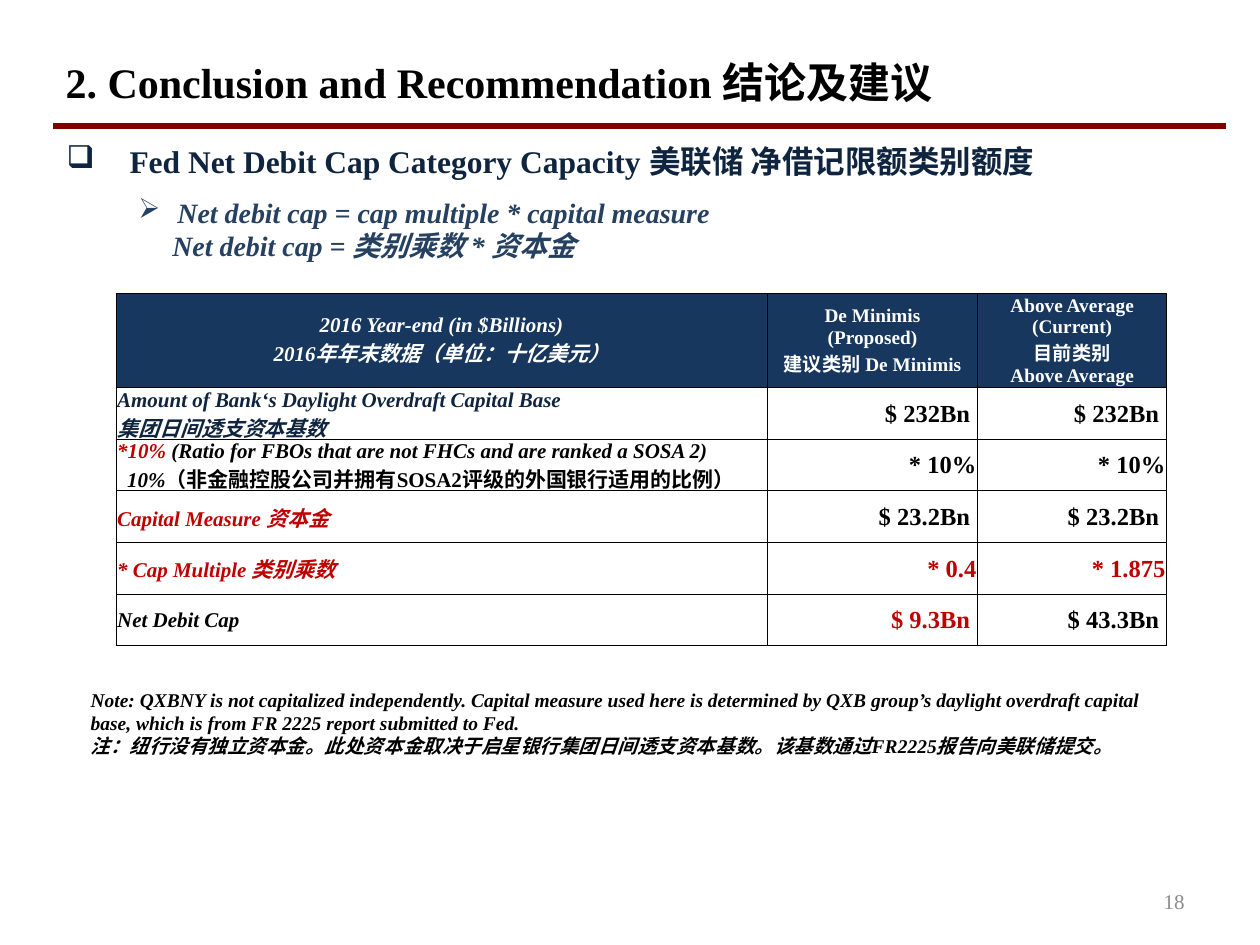
from pptx import Presentation
from pptx.dml.color import RGBColor
from pptx.enum.shapes import MSO_CONNECTOR
from pptx.enum.text import MSO_ANCHOR, MSO_AUTO_SIZE, PP_ALIGN
from pptx.oxml import parse_xml
from pptx.oxml.ns import nsdecls, qn
from pptx.util import Inches, Pt
from lxml.etree import SubElement

FONT = "Times New Roman"
BLACK, WHITE, RED = "000000", "FFFFFF", "C00000"
NAVY, BLUE, HEADER_FILL = "0F243E", "254061", "17375E"


def rgb(value):
    return RGBColor.from_string(value)


def style_run(run, size, color=BLACK, bold=True, italic=False):
    font = run.font
    font.name, font.size, font.bold, font.italic = FONT, Pt(size), bold, italic
    font.color.rgb = rgb(color)


def write_lines(frame, lines, size, color=BLACK, bold=True, italic=False,
                align=PP_ALIGN.LEFT):
    """Write one paragraph for each line in a common style."""
    frame.text = "\n".join(lines)
    for paragraph in frame.paragraphs:
        paragraph.alignment = align
        for run in paragraph.runs:
            style_run(run, size, color, bold, italic)


def set_indent(paragraph, left, hanging=0, bullet=None):
    properties = paragraph._p.get_or_add_pPr()
    properties.set("marL", str(Inches(left)))
    properties.set("indent", str(Inches(-hanging)))
    if bullet:
        SubElement(properties, qn("a:buChar")).set("char", bullet)


def add_text(slide, box, lines, size, anchor=MSO_ANCHOR.TOP, **style):
    frame = slide.shapes.add_textbox(*map(Inches, box)).text_frame
    frame.word_wrap = True
    frame.vertical_anchor = anchor
    write_lines(frame, lines, size, **style)
    return frame


def add_heading(slide, left, top, width):
    # Title
    title = slide.shapes.title
    title.left, title.top = Inches(left), Inches(top)
    title.width, title.height = Inches(width), Inches(0.53)
    frame = title.text_frame
    frame.auto_size = MSO_AUTO_SIZE.NONE
    frame.vertical_anchor = MSO_ANCHOR.MIDDLE
    write_lines(frame, ["2. Conclusion and Recommendation 结论及建议"], 24)

    # Rule under the title
    rule_top = Inches(top + 0.62)
    rule = slide.shapes.add_connector(
        MSO_CONNECTOR.STRAIGHT, Inches(left), rule_top,
        Inches(left + 9.31), rule_top)
    rule.line.color.rgb = rgb("800000")
    rule.line.width = Pt(3)
    SubElement(rule._element.spPr, qn("a:effectLst"))


def add_formula(slide, left, top, width):
    # Topic
    topic = add_text(slide, (left, top, width, 0.44),
                     ["Fed Net Debit Cap Category Capacity 美联储 净借记限额类别额度"],
                     18, MSO_ANCHOR.MIDDLE, color=NAVY)
    set_indent(topic.paragraphs[0], 0.5, 0.5, "❑")

    # Formula in both languages
    formula = add_text(slide, (left + 0.07, top + 0.44, width - 0.06, 0.91),
                       ["Net debit cap = cap multiple * capital measure",
                        "Net debit cap = 类别乘数 * 资本金"],
                       16, color=BLUE, italic=True)
    english, chinese = formula.paragraphs
    english.level = chinese.level = 1
    set_indent(english, 0.81, 0.31, "➢")
    set_indent(chinese, 0.77)


def set_borders(cell):
    properties = cell._tc.get_or_add_tcPr()
    for position, side in enumerate(("lnL", "lnR", "lnT", "lnB")):
        properties.insert(position, parse_xml(
            f'<a:{side} {nsdecls("a")} w="6350"><a:solidFill>'
            f'<a:srgbClr val="{BLACK}"/></a:solidFill></a:{side}>'))


def prepare_cell(cell, fill=None):
    cell.vertical_anchor = MSO_ANCHOR.MIDDLE
    cell.margin_left = cell.margin_right = cell.margin_top = Inches(0.01)
    cell.margin_bottom = 0
    if fill:
        cell.fill.solid()
        cell.fill.fore_color.rgb = rgb(fill)
    else:
        cell.fill.background()
    set_borders(cell)


HEADERS = [
    (["2016 Year-end (in $Billions)", "2016年年末数据（单位：十亿美元）"], 12, True),
    (["De Minimis", "(Proposed)", "建议类别 De Minimis"], 11, False),
    (["Above Average", "(Current)", "目前类别", "Above Average"], 11, False),
]
# Label lines, label colour, then value and colour for each category
ROWS = [
    (["Amount of Bank‘s Daylight Overdraft Capital Base", "集团日间透支资本基数"], NAVY,
     [("$ 232Bn", BLACK), ("$ 232Bn", BLACK)]),
    (["*10% ", "10%"], BLACK, [("* 10%", BLACK), ("* 10%", BLACK)]),
    (["Capital Measure 资本金"], RED, [("$ 23.2Bn", BLACK), ("$ 23.2Bn", BLACK)]),
    (["* Cap Multiple 类别乘数"], RED, [("* 0.4", RED), ("* 1.875", RED)]),
    (["Net Debit Cap"], BLACK, [("$ 9.3Bn", RED), ("$ 43.3Bn", BLACK)]),
]


def finish_ratio_label(frame):
    """Add the differently styled explanations to the 10% ratio."""
    english, chinese = frame.paragraphs
    english.runs[0].font.color.rgb = rgb(RED)
    set_indent(chinese, 0.08)
    for paragraph, explanation, italic in (
            (english, "(Ratio for FBOs that are not FHCs and are ranked a SOSA 2)", True),
            (chinese, "（非金融控股公司并拥有SOSA2评级的外国银行适用的比例）", False)):
        run = paragraph.add_run()
        run.text = explanation
        style_run(run, 12, italic=italic)


def add_cap_table(slide, left, top):
    widths, heights = [5.17, 1.67, 1.5], [0.74] + [0.41] * len(ROWS)
    table = slide.shapes.add_table(
        len(heights), len(widths), Inches(left), Inches(top),
        Inches(sum(widths)), Inches(sum(heights))).table
    table.first_row = table.horz_banding = False
    for column, width in zip(table.columns, widths):
        column.width = Inches(width)
    for row, height in zip(table.rows, heights):
        row.height = Inches(height)

    # Header row
    for column, (lines, size, italic) in enumerate(HEADERS):
        header = table.cell(0, column)
        prepare_cell(header, HEADER_FILL)
        write_lines(header.text_frame, lines, size, WHITE,
                    italic=italic, align=PP_ALIGN.CENTER)

    # Labels and values
    for row, (lines, color, values) in enumerate(ROWS, 1):
        label = table.cell(row, 0)
        prepare_cell(label)
        write_lines(label.text_frame, lines, 12, color, italic=True)
        for column, (value, value_color) in enumerate(values, 1):
            amount = table.cell(row, column)
            prepare_cell(amount)
            if value.endswith("Bn"):
                amount.margin_right = Inches(0.06)
            write_lines(amount.text_frame, [value], 14, value_color,
                        align=PP_ALIGN.RIGHT)
    finish_ratio_label(table.cell(2, 0).text_frame)


def add_note(slide, left, top, width):
    add_text(slide, (left, top, width, 0.71), [
        "Note: QXBNY is not capitalized independently. Capital measure used here is "
        "determined by QXB group’s daylight overdraft capital base, which is from "
        "FR 2225 report submitted to Fed.",
        "注：纽行没有独立资本金。此处资本金取决于启星银行集团日间透支资本基数。"
        "该基数通过FR2225报告向美联储提交。"], 11.1, italic=True)


presentation = Presentation()
presentation.slide_width, presentation.slide_height = Inches(10), Inches(7.5)
slide = presentation.slides.add_slide(presentation.slide_layouts[5])
add_heading(slide, 0.42, 0.38, 9)
add_formula(slide, 0.43, 1.06, 9)
add_cap_table(slide, 0.92, 2.33)
add_note(slide, 0.62, 5.41, 8.78)
# Page number
add_text(slide, (7.17, 6.95, 2.33, 0.4), ["18"], 12, MSO_ANCHOR.MIDDLE,
         color="8C8C8C", bold=False, align=PP_ALIGN.RIGHT)
presentation.save("out.pptx")
